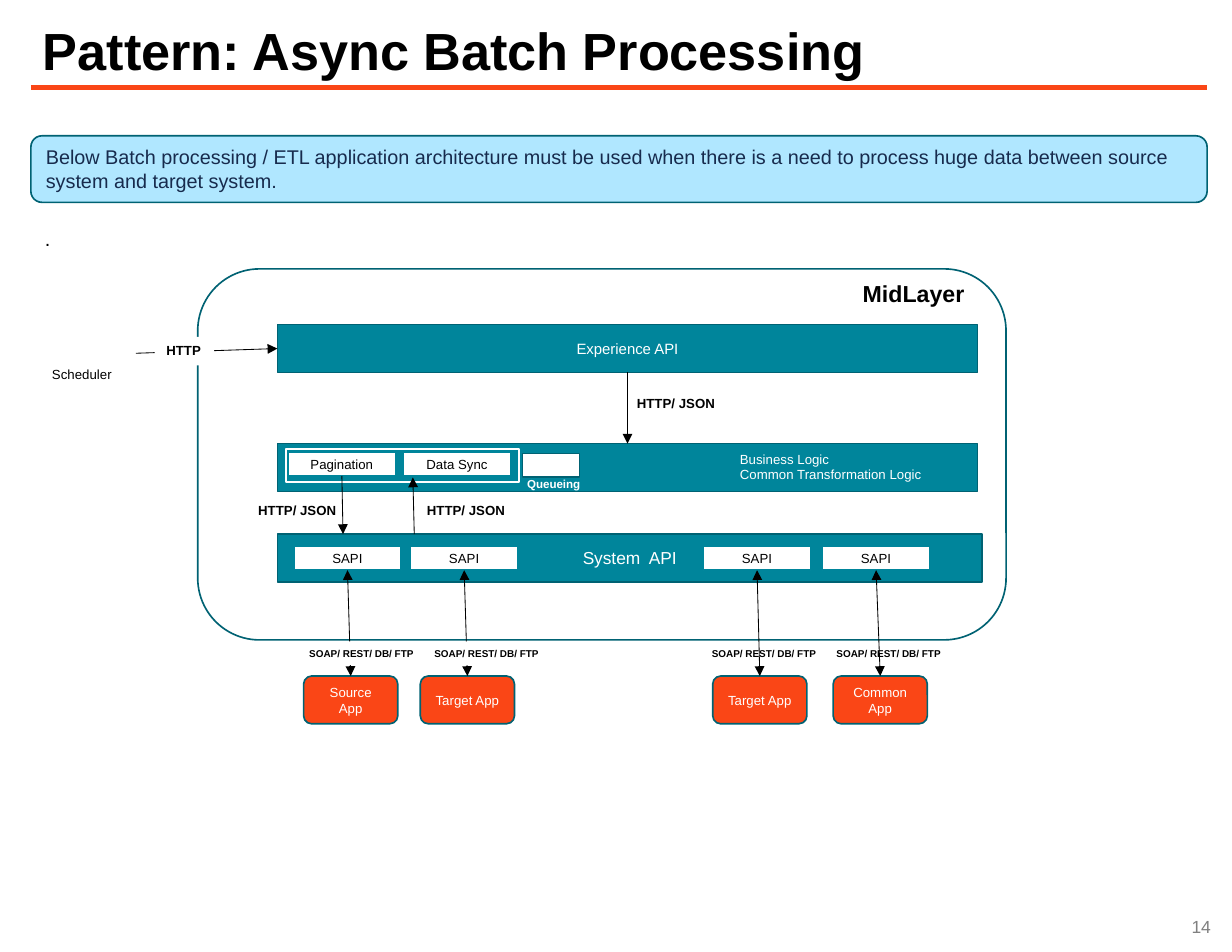
"""Build the slide on the async batch processing pattern."""
from dataclasses import dataclass

from lxml.etree import SubElement
from pptx import Presentation
from pptx.dml.color import RGBColor
from pptx.enum.shapes import MSO_CONNECTOR, MSO_SHAPE
from pptx.enum.text import MSO_ANCHOR, PP_ALIGN
from pptx.oxml.ns import qn
from pptx.util import Cm, Pt


@dataclass(frozen=True)
class Theme:
    font: str = "Arial"
    black: str = "000000"
    white: str = "FFFFFF"
    grey: str = "808080"
    navy: str = "172B4D"
    sky: str = "B0E7FF"
    teal: str = "00859B"
    edge: str = "006273"
    orange: str = "FA4616"
    title: float = 31.6
    platform: float = 14
    intro: float = 12
    page: float = 10.6
    system: float = 10.5
    layer: float = 9
    label: float = 8
    queue: float = 7
    protocol: float = 6


theme = Theme()
presentation = Presentation()
presentation.slide_width, presentation.slide_height = Cm(26.29), Cm(20.32)
slide = presentation.slides.add_slide(presentation.slide_layouts[5])


def add_box(left, top, width, height, text="", size=theme.label, color=theme.black,
            fill=None, edge=None, kind=MSO_SHAPE.RECTANGLE, bold=False,
            align=PP_ALIGN.CENTER, anchor=MSO_ANCHOR.MIDDLE):
    frame = (Cm(left), Cm(top), Cm(width), Cm(height))
    if fill or edge:
        box = slide.shapes.add_shape(kind, *frame)
        box.shadow.inherit = False
    else:
        box = slide.shapes.add_textbox(*frame)
    if fill:
        box.fill.solid()
        box.fill.fore_color.rgb = RGBColor.from_string(fill)
    else:
        box.fill.background()
    if edge:
        box.line.color.rgb = RGBColor.from_string(edge)
        box.line.width = Pt(1)
    else:
        box.line.fill.background()
    body = box.text_frame
    body.word_wrap = True
    body.vertical_anchor = anchor
    if align == PP_ALIGN.LEFT:
        body.margin_right = 0
    for index, words in enumerate(text.split("\n") if text else []):
        paragraph = body.add_paragraph() if index else body.paragraphs[0]
        paragraph.alignment = align
        run = paragraph.add_run()
        run.text = words
        run.font.name, run.font.size, run.font.bold = theme.font, Pt(size), bold
        run.font.color.rgb = RGBColor.from_string(color)
    return box


def add_line(start, end, color=theme.black, width=0.5, heads=("tailEnd",)):
    line = slide.shapes.add_connector(
        MSO_CONNECTOR.STRAIGHT, *(Cm(value) for value in start + end))
    line.line.color.rgb = RGBColor.from_string(color)
    line.line.width = Pt(width)
    for head in heads:
        SubElement(line.line._get_or_add_ln(), qn(f"a:{head}"), type="triangle")
    SubElement(line._element.spPr, qn("a:effectLst"))
    return line


heading = slide.shapes.title
heading.left, heading.top, heading.width, heading.height = Cm(0.66), Cm(0.4), Cm(25.1), Cm(1.37)
heading.text_frame.vertical_anchor = MSO_ANCHOR.TOP
heading.text_frame.margin_top = heading.text_frame.margin_bottom = 0
heading_paragraph = heading.text_frame.paragraphs[0]
heading_paragraph.alignment = PP_ALIGN.LEFT
heading_run = heading_paragraph.add_run()
heading_run.text = "Pattern: Async Batch Processing"
heading_run.font.name, heading_run.font.size, heading_run.font.bold = theme.font, Pt(theme.title), True
heading_run.font.color.rgb = RGBColor.from_string(theme.black)

rule = add_line((0.66, 1.86), (25.76, 1.86), theme.orange, 3, ())
heading._element.addprevious(rule._element)

note = dict(align=PP_ALIGN.LEFT, anchor=MSO_ANCHOR.TOP)
add_box(20.17, 19.23, 5.92, 1.09, "14", theme.page, theme.grey, align=PP_ALIGN.RIGHT)
add_box(0.71, 4.72, 24.9, 0.75, ".", theme.intro, **note)
add_box(0.66, 2.9, 25.1, 1.42,
        "Below Batch processing / ETL application architecture must be used when there is "
        "a need to process huge data between source system and target system.",
        theme.intro, theme.navy, theme.sky, theme.edge, MSO_SHAPE.ROUNDED_RECTANGLE, **note)

add_box(4.22, 5.74, 17.25, 7.92, fill=theme.white, edge=theme.edge, kind=MSO_SHAPE.ROUNDED_RECTANGLE)
add_box(18.16, 5.84, 3.81, 0.86, "MidLayer", theme.platform, bold=True, **note)
process = add_box(5.92, 9.47, 14.94, 1.02, fill=theme.teal, edge=theme.edge)
experience = add_box(5.92, 6.93, 14.94, 1.02, "Experience API", theme.layer, theme.white,
                     theme.teal, theme.edge)
add_box(5.92, 11.4, 15.04, 1.02, "System  API", theme.system, theme.white, theme.teal, theme.edge)
add_box(15.54, 9.5, 5.23, 0.94, "Business Logic\nCommon Transformation Logic", color=theme.white, **note)
add_box(0.86, 7.7, 2.03, 0.61, "Scheduler", **note)

scheduler_call = add_line((2.9, 7.54), (5.92, 7.44))
scheduler_call.end_connect(experience, 1)
add_box(3.3, 7.19, 1.27, 0.61, "HTTP", fill=theme.white, bold=True, **note)
process_call = add_line((13.39, 7.95), (13.39, 9.47))
process_call.begin_connect(experience, 2)
process_call.end_connect(process, 0)

pagination = add_box(6.15, 9.65, 2.29, 0.51, "Pagination", fill=theme.white, edge=theme.teal)
add_box(8.61, 9.65, 2.29, 0.51, "Data Sync", fill=theme.white, edge=theme.teal)
add_box(6.1, 9.58, 4.98, 0.71, edge=theme.white)
add_box(11.15, 9.68, 1.22, 0.51, fill=theme.white, edge=theme.edge)
add_box(11, 10.06, 1.65, 0.56, "Queueing", theme.queue, theme.white, bold=True, **note)
page_request = add_line((7.3, 10.16), (7.32, 11.4))
page_request.begin_connect(pagination, 2)
add_line((8.84, 11.4), (8.81, 10.19))
for left, top in ((13.34, 8.31), (5.26, 10.59), (8.86, 10.59)):
    add_box(left, top, 2.41, 0.61, "HTTP/ JSON", bold=True, **note)

for sapi_left, app_left, protocol_left, app_name, label_in_front in (
        (6.27, 6.48, 6.35, "Source App", True),
        (8.76, 8.97, 9.02, "Target App", True),
        (15.01, 15.21, 14.94, "Target App", False),
        (17.55, 17.78, 17.6, "Common App", False)):
    sapi = add_box(sapi_left, 11.66, 2.29, 0.51, "SAPI", fill=theme.white, edge=theme.teal)
    app = add_box(app_left, 14.43, 2.01, 1.02, app_name, color=theme.white, fill=theme.orange,
                  edge=theme.edge, kind=MSO_SHAPE.ROUNDED_RECTANGLE)
    protocol = add_box(protocol_left, 13.69, 2.74, 0.51, "SOAP/ REST/ DB/ FTP", theme.protocol,
                       fill=theme.white, bold=True, **note)
    exchange = add_line((sapi_left, 12.17), (app_left, 14.43), heads=("headEnd", "tailEnd"))
    exchange.begin_connect(sapi, 2)
    exchange.end_connect(app, 0)
    if label_in_front:
        exchange._element.addnext(protocol._element)

presentation.save("out.pptx")
